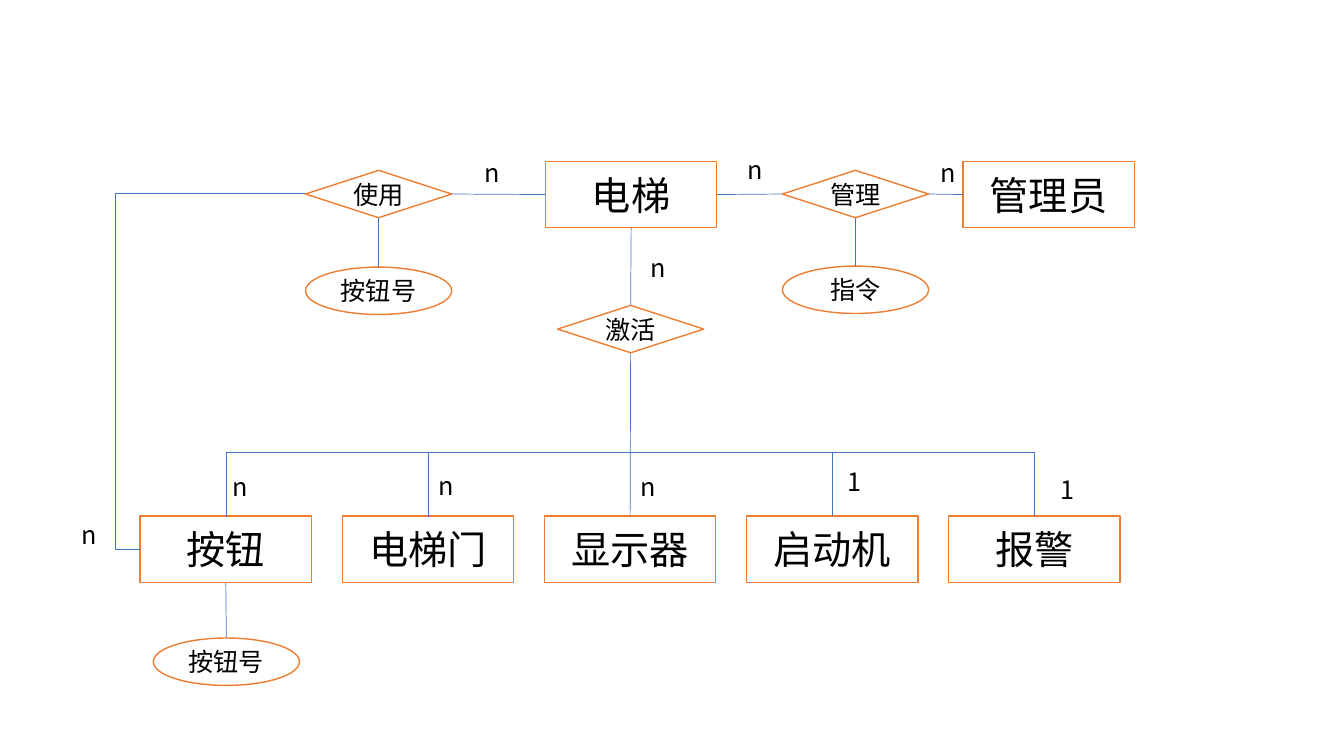
from lxml import etree
from pptx import Presentation
from pptx.dml.color import RGBColor
from pptx.enum.shapes import MSO_CONNECTOR as CONNECTOR, MSO_SHAPE as SHAPE
from pptx.enum.text import MSO_ANCHOR as ANCHOR, MSO_AUTO_SIZE as AUTO_SIZE, PP_ALIGN as ALIGN
from pptx.oxml.ns import qn
from pptx.util import Inches, Pt

FONT = "Noto Sans CJK SC"
BLACK, WHITE, ORANGE, BLUE = "000000", "FFFFFF", "ED7D31", "4472C4"
TOP, LEFT, BOTTOM, RIGHT = range(4)
ENTITY_SIZE = (1.7, 0.66)
SMALL_SIZE = (1.45, 0.47)


def color(value):
    return RGBColor.from_string(value)


def write(frame, text, size=18, font_color=BLACK, align=ALIGN.LEFT, anchor=ANCHOR.TOP, wrap=True):
    frame.word_wrap = wrap
    frame.vertical_anchor = anchor
    paragraph = frame.paragraphs[0]
    paragraph.alignment = align
    run = paragraph.add_run()
    run.text = text
    run.font.size = Pt(size)
    run.font.name = FONT
    run.font.color.rgb = color(font_color)
    etree.SubElement(run.font._element, qn("a:ea"), typeface=FONT)


def add_node(slide, kind, text, left, top, box_size, font_size=18):
    shape = slide.shapes.add_shape(kind, Inches(left), Inches(top), *map(Inches, box_size))
    shape.shadow.inherit = False
    shape.fill.solid()
    shape.fill.fore_color.rgb = color(WHITE)
    shape.line.color.rgb = color(ORANGE)
    shape.line.width = Pt(1)
    write(shape.text_frame, text, size=font_size, align=ALIGN.CENTER, anchor=ANCHOR.MIDDLE)
    return shape


def add_entity(slide, text, left, top):
    return add_node(slide, SHAPE.RECTANGLE, text, left, top, ENTITY_SIZE, 28)


def add_relation(slide, text, left, top):
    return add_node(slide, SHAPE.FLOWCHART_DECISION, text, left, top, SMALL_SIZE)


def add_line(slide, kind, start=(0, 0), end=(0, 0)):
    line = slide.shapes.add_connector(kind, *map(Inches, (*start, *end)))
    line.line.color.rgb = color(BLUE)
    line.line.width = Pt(0.5)
    etree.SubElement(line._element.spPr, qn("a:effectLst"))
    return line


def join(slide, first, first_side, second, second_side):
    line = add_line(slide, CONNECTOR.STRAIGHT)
    line.begin_connect(first, first_side)
    line.end_connect(second, second_side)


def add_elbow(slide, start, end, bend, rotation=0):
    """Draw a three-part line; bend is the middle part's place as a share of the width."""
    line = add_line(slide, CONNECTOR.ELBOW, start, end)
    properties = line._element.spPr
    if rotation:
        properties.find(qn("a:xfrm")).set("rot", str(rotation * 60000))
    guides = properties.find(qn("a:prstGeom")).get_or_add_avLst()
    etree.SubElement(guides, qn("a:gd"), name="adj1", fmla=f"val {round(bend * 100000)}")


def add_bracket(slide, left, right, bottom, rise):
    """Draw a bracket open at the bottom, as an elbow turned a quarter."""
    middle, half, thin = (left + right) / 2, (right - left) / 2, 0.01
    add_elbow(slide, (middle + thin / 2, bottom + half), (middle - thin / 2, bottom - half),
              rise / thin, rotation=90)


def add_attribute(slide, text, left, top, owner):
    ellipse = add_node(slide, SHAPE.OVAL, text, left, top, SMALL_SIZE)
    join(slide, owner, BOTTOM, ellipse, TOP)


def add_count(slide, text, left, top):
    box = slide.shapes.add_textbox(Inches(left), Inches(top), Inches(0.34), Inches(0.4))
    write(box.text_frame, text, wrap=False)
    box.text_frame.auto_size = AUTO_SIZE.SHAPE_TO_FIT_TEXT


def add_management(slide, left, top):
    """Place the upper row and return the elevator and the use relation."""
    use = add_relation(slide, "使用", left, top + 0.09)
    elevator = add_entity(slide, "电梯", left + 2.38, top)
    manage = add_relation(slide, "管理", left + 4.73, top + 0.09)
    manager = add_entity(slide, "管理员", left + 6.52, top)
    for first, second in ((use, elevator), (elevator, manage), (manage, manager)):
        join(slide, first, RIGHT, second, LEFT)
    add_attribute(slide, "按钮号", left, top + 1.05, use)
    add_attribute(slide, "指令", left + 4.73, top + 1.04, manage)
    for dx, dy in ((1.68, -0.09), (4.29, -0.12), (6.2, -0.09)):
        add_count(slide, "n", left + dx, top + dy)
    return elevator


def add_parts(slide, left, top, activate):
    """Place the row of elevator parts below the relation that activates them."""
    pitch = 2.005
    names = ("按钮", "电梯门", "显示器", "启动机", "报警")
    parts = [add_entity(slide, name, left + i * pitch, top) for i, name in enumerate(names)]
    centers = [left + i * pitch + ENTITY_SIZE[0] / 2 for i in range(len(names))]
    for i in (0, 1):
        add_bracket(slide, centers[i], centers[-1 - i], top, 0.65)
    join(slide, activate, BOTTOM, parts[2], TOP)
    add_attribute(slide, "按钮号", left + 0.13, top + 1.21, parts[0])
    counts = (("n", 0.82, -0.49), ("n", 2.86, -0.5), ("n", 4.86, -0.49),
              ("1", 6.92, -0.54), ("1", 9.03, -0.46))
    for text, dx, dy in counts:
        add_count(slide, text, left + dx, top + dy)


def add_diagram(slide):
    elevator = add_management(slide, 3.03, 1.6)
    activate = add_relation(slide, "激活", 5.53, 3.03)
    join(slide, elevator, BOTTOM, activate, TOP)
    add_count(slide, "n", 6.35, 2.45)
    add_parts(slide, 1.39, 5.12, activate)
    add_elbow(slide, (3.03, 1.92), (1.39, 5.45), 1.15)
    add_count(slide, "n", 0.71, 5.1)


def main():
    presentation = Presentation()
    presentation.slide_width, presentation.slide_height = Inches(13.33), Inches(7.5)
    add_diagram(presentation.slides.add_slide(presentation.slide_layouts[6]))
    presentation.save("out.pptx")


if __name__ == "__main__":
    main()
